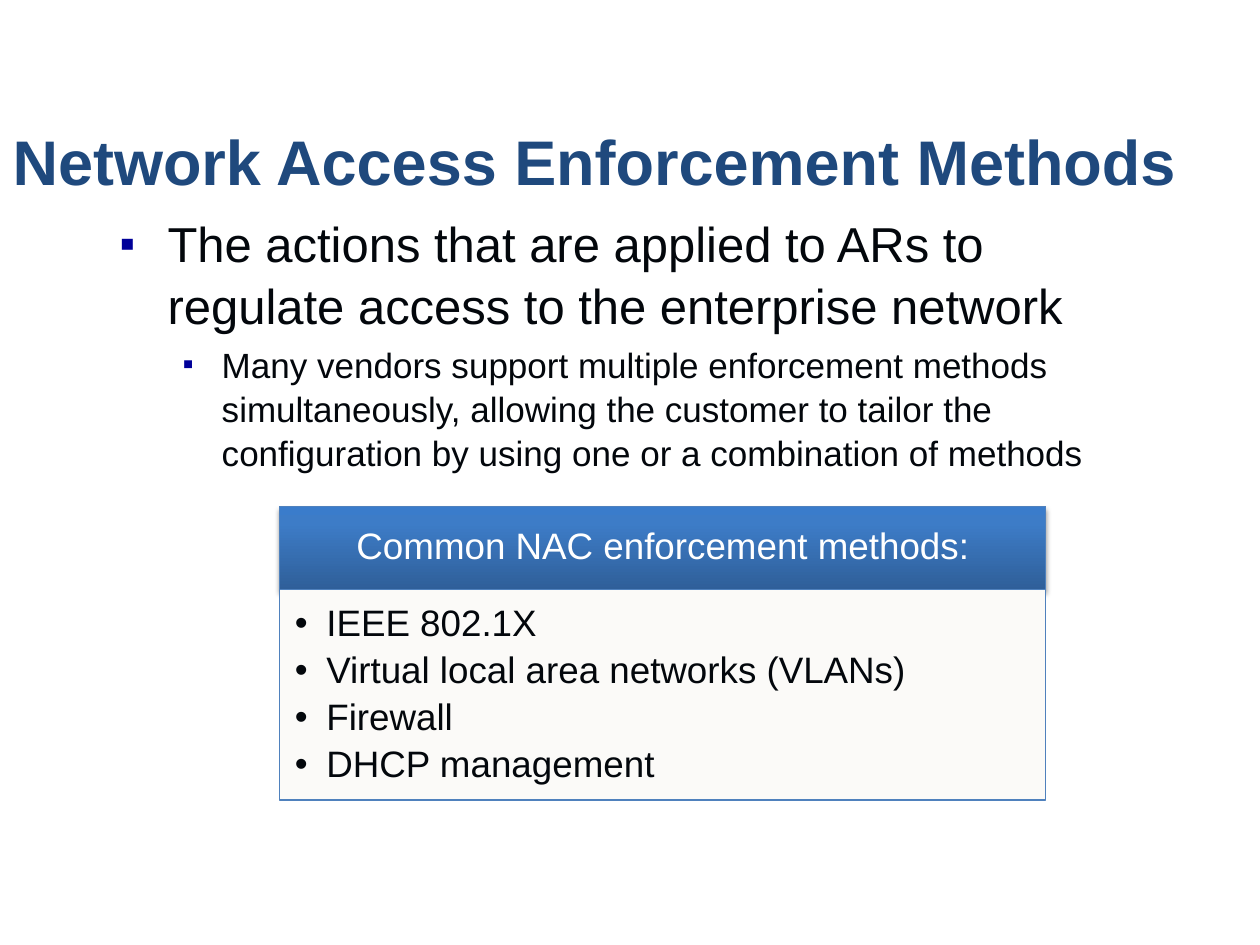
import pptx
import pptx.dml.color
import pptx.enum.shapes
import pptx.enum.text
import pptx.oxml.ns
import pptx.util
from lxml import etree

Inches = pptx.util.Inches
Pt = pptx.util.Pt
qn = pptx.oxml.ns.qn
ALIGN = pptx.enum.text.PP_ALIGN
ANCHOR = pptx.enum.text.MSO_ANCHOR

COLORS = {
    "title": "1F497D",
    "text": "03070C",
    "bullet": "000099",
    "border": "4F81BD",
    "panel": "FBFAF8",
    "white": "FFFFFF",
    "shadow": "000000",
    "dark": "2F5F99",
    "mid": "3D7CC7",
    "light": "3A7CCB",
}
METHODS = ["IEEE 802.1X", "Virtual local area networks (VLANs)", "Firewall", "DHCP management"]


def rgb(name):
    return pptx.dml.color.RGBColor.from_string(COLORS[name])


def add_element(parent, tag, **attrs):
    return etree.SubElement(parent, qn(tag), {k: str(v) for k, v in attrs.items()})


def add_run(p, text, size, color, bold=False):
    r = p.add_run()
    r.text = text
    r.font.name = "Arial"
    r.font.size = Pt(size)
    r.font.bold = bold
    r.font.color.rgb = rgb(color)


def set_bullet(p, char, color, percent, left, hanging):
    pPr = p._p.get_or_add_pPr()
    pPr.set("marL", str(Inches(left)))
    pPr.set("indent", str(-Inches(hanging)))
    add_element(add_element(pPr, "a:buClr"), "a:srgbClr", val=COLORS[color])
    add_element(pPr, "a:buSzPct", val=percent * 1000)
    add_element(pPr, "a:buFont", typeface="Arial")
    add_element(pPr, "a:buChar", char=char)


def place(sp, left, top, width, height):
    sp.left, sp.top = Inches(left), Inches(top)
    sp.width, sp.height = Inches(width), Inches(height)


def fill_title(sp, text):
    place(sp, 0, 0.93, 10, 0.69)
    tf = sp.text_frame
    tf.auto_size = pptx.enum.text.MSO_AUTO_SIZE.NONE
    tf.vertical_anchor = ANCHOR.BOTTOM
    p = tf.paragraphs[0]
    p.alignment = ALIGN.LEFT
    add_run(p, text, 36, "title", True)


def fill_body(sp, items):
    place(sp, 0.85, 1.62, 8.29, 5.33)
    tf = sp.text_frame
    tf.auto_size = pptx.enum.text.MSO_AUTO_SIZE.NONE
    for i, (text, size, left, hanging) in enumerate(items):
        p = tf.add_paragraph() if i else tf.paragraphs[0]
        p.level = i
        p.line_spacing = 1.05
        set_bullet(p, "▪", "bullet", 90, left, hanging)
        add_run(p, text, size, "text")


def add_panel(s, top, height, anchor, margins):
    sp = s.shapes.add_shape(
        pptx.enum.shapes.MSO_SHAPE.RECTANGLE,
        Inches(2.22), Inches(top), Inches(6.08), Inches(height))
    sp.shadow.inherit = False
    sp.line.color.rgb = rgb("border")
    sp.line.width = Pt(0.75)
    tf = sp.text_frame
    tf.word_wrap = True
    tf.vertical_anchor = anchor
    tf.margin_left, tf.margin_top, tf.margin_right, tf.margin_bottom = map(Inches, margins)
    return sp


def set_gradient(sp, stops):
    sp.fill.gradient()
    sp.fill.gradient_angle = 90
    gs_list = sp._element.spPr.find(".//" + qn("a:gsLst"))
    for gs in list(gs_list):
        gs_list.remove(gs)
    for position, color in stops:
        gs = add_element(gs_list, "a:gs", pos=position * 1000)
        add_element(gs, "a:srgbClr", val=COLORS[color])


def set_shadow(sp):
    effects = sp._element.spPr.find(qn("a:effectLst"))
    shadow = add_element(effects, "a:outerShdw", blurRad=Pt(3.1), dist=Pt(1.8),
                         dir=90 * 60000, rotWithShape=0)
    color = add_element(shadow, "a:srgbClr", val=COLORS["shadow"])
    add_element(color, "a:alpha", val=35000)


def add_header(s, text):
    sp = add_panel(s, 4.02, 0.66, ANCHOR.MIDDLE, (0.16, 0.09, 0.16, 0.09))
    set_gradient(sp, [(0, "dark"), (80, "mid"), (100, "light")])
    set_shadow(sp)
    p = sp.text_frame.paragraphs[0]
    p.alignment = ALIGN.CENTER
    p.line_spacing = 0.9
    add_run(p, text, 21, "white")


def add_method_list(s, methods):
    sp = add_panel(s, 4.68, 1.67, ANCHOR.TOP, (0.12, 0.12, 0.16, 0.18))
    sp.fill.solid()
    sp.fill.fore_color.rgb = rgb("panel")
    tf = sp.text_frame
    for i, method in enumerate(methods):
        p = tf.add_paragraph() if i else tf.paragraphs[0]
        p.alignment = ALIGN.LEFT
        p.line_spacing = 0.9
        p.space_after = Pt(4.2)
        set_bullet(p, "•", "text", 100, 0.25, 0.25)
        add_run(p, method, 21, "text")


def main():
    prs = pptx.Presentation()
    prs.slide_width, prs.slide_height = Inches(10), Inches(7.5)
    s = prs.slides.add_slide(prs.slide_layouts[1])
    fill_title(s.shapes.title, "Network Access Enforcement Methods")
    fill_body(s.placeholders[1], [
        ("The actions that are applied to ARs to regulate access to the enterprise network",
         28, 0.38, 0.38),
        ("Many vendors support multiple enforcement methods simultaneously, allowing the "
         "customer to tailor the configuration by using one or a combination of methods",
         20, 0.81, 0.31),
    ])
    add_header(s, "Common NAC enforcement methods:")
    add_method_list(s, METHODS)
    prs.save("out.pptx")


if __name__ == "__main__":
    main()
